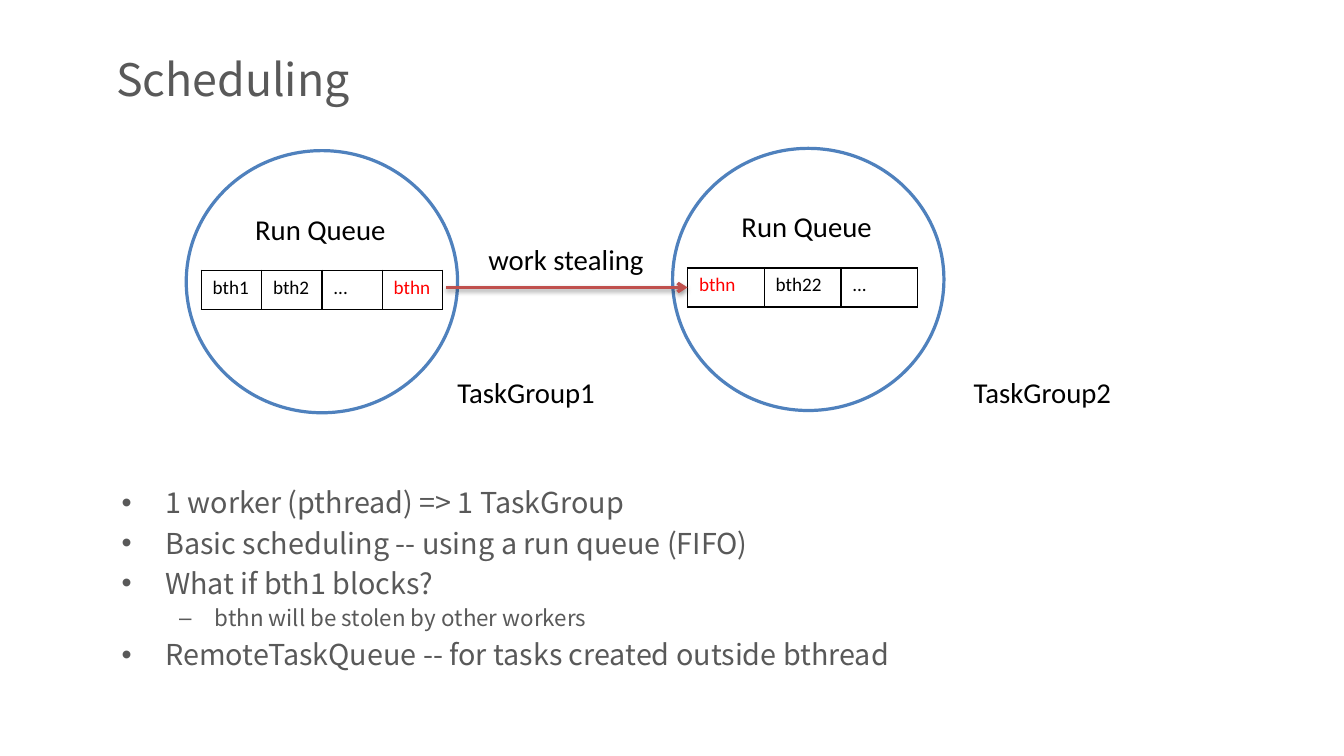
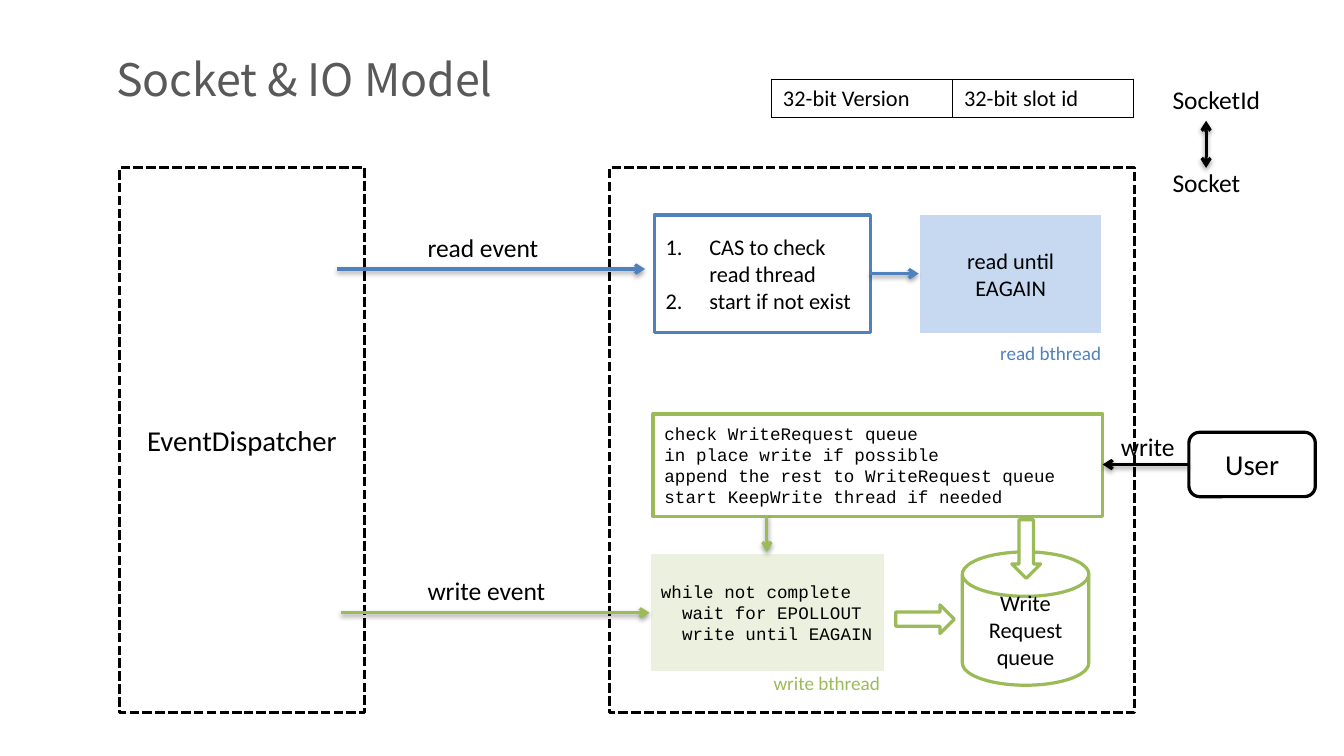
"""Build two slides on task scheduling and the socket IO model."""
from lxml import etree
from pptx import Presentation
from pptx.dml.color import RGBColor
from pptx.enum.dml import MSO_LINE
from pptx.enum.shapes import MSO_CONNECTOR, MSO_SHAPE
from pptx.enum.text import MSO_ANCHOR, MSO_AUTO_SIZE, PP_ALIGN
from pptx.oxml import parse_xml
from pptx.oxml.ns import qn
from pptx.util import Inches, Mm, Pt

LEFT, MID = PP_ALIGN.LEFT, PP_ALIGN.CENTER
TOP, CORE = MSO_ANCHOR.TOP, MSO_ANCHOR.MIDDLE
RECT, ROUND, OVAL = MSO_SHAPE.RECTANGLE, MSO_SHAPE.ROUNDED_RECTANGLE, MSO_SHAPE.OVAL
DISK, ARROW = MSO_SHAPE.FLOWCHART_MAGNETIC_DISK, MSO_SHAPE.RIGHT_ARROW
DASH, STRAIGHT = MSO_LINE.SQUARE_DOT, MSO_CONNECTOR.STRAIGHT
FIXED = MSO_AUTO_SIZE.NONE

HUES = {"ink": "000000", "gray": "595959", "white": "FFFFFF", "blue": "4F81BD",
        "pale": "C6D9F1", "green": "9BBB59", "mint": "EBF1DE",
        "brick": "C0504D", "red": "FF0000"}
SANS, CODE, HEAD = "Calibri", "Courier New", "Noto Sans CJK SC"
WIDE, HIGH = Mm(296.9), Mm(167)

POINTS = [
    (0, "1 worker (pthread) => 1 TaskGroup"),
    (0, "Basic scheduling -- using a run queue (FIFO)"),
    (0, "What if bth1 blocks?"),
    (1, "bthn will be stolen by other workers"),
    (0, "RemoteTaskQueue -- for tasks created outside bthread"),
]
LEVELS = [dict(size=18, left=0.38, hang=0.38, mark="•"),
          dict(size=14, left=0.81, hang=0.31, mark="–")]
GROUPS = [
    dict(name="TaskGroup1", at=(1.62, 1.31), tag=3.88, wide=2.1,
         queue=["bth1", "bth2", "...", "bthn"]),
    dict(name="TaskGroup2", at=(5.85, 1.29), tag=8.37, wide=2,
         queue=["bthn", "bth22", "..."]),
]
FIELDS = ["32-bit Version", "32-bit slot id"]
CHECK = ["CAS to check read thread", "start if not exist"]
WRITE = ["check WriteRequest queue", "in place write if possible",
         "append the rest to WriteRequest queue",
         "start KeepWrite thread if needed"]
KEEP = ["while not complete", "  wait for EPOLLOUT", "  write until EAGAIN"]
BOXES = [
    (RECT, (1.04, 1.46, 2.13, 4.74), "white", "ink",
     dict(lines=["EventDispatcher"], size=18, align=MID), dict(dash=DASH)),
    (RECT, (5.3, 1.46, 4.57, 4.74), "white", "ink", None, dict(dash=DASH)),
    (RECT, (7.99, 1.86, 1.6, 1.05), "pale", "white",
     dict(lines=["read until EAGAIN"], size=14, align=MID), {}),
    (RECT, (5.69, 1.87, 1.88, 1.02), "white", "blue",
     dict(lines=CHECK, size=14, count=True), {}),
    (RECT, (5.65, 4.8, 2.05, 1.05), "mint", "white",
     dict(lines=KEEP, size=11, face=CODE), {}),
    (RECT, (5.68, 3.6, 3.91, 0.89), "white", "green",
     dict(lines=WRITE, size=11, face=CODE), {}),
    (DISK, (8.37, 4.8, 1.1, 1.16), "white", "green",
     dict(lines=["Write", "Request queue"], size=14, align=MID), {}),
    (ARROW, (7.79, 5.26, 0.51, 0.25), "white", "green", None, {}),
    (ARROW, (8.67, 4.65, 0.51, 0.25), "white", "green", None, dict(turn=90)),
    (ROUND, (10.34, 3.76, 1.1, 0.56), "white", "ink",
     dict(lines=["User"], size=18, align=MID), {}),
]
LINKS = [
    ((2.93, 2.34), (5.61, 2.34), "blue", ["tailEnd"]),
    ((7.57, 2.38), (7.99, 2.38), "blue", ["tailEnd"]),
    ((2.97, 5.33), (5.65, 5.33), "green", ["tailEnd"]),
    ((6.67, 4.48), (6.67, 4.8), "green", ["tailEnd"]),
    ((10.34, 4.04), (9.59, 4.04), "ink", ["tailEnd"]),
    ((10.49, 1.05), (10.49, 1.46), "ink", ["headEnd", "tailEnd"]),
]
TAGS = [
    ("read event", (3.62, 1.97, 1.26, 0.37), 16, "ink"),
    ("write event", (3.62, 4.95, 1.26, 0.37), 16, "ink"),
    ("write", (9.65, 3.7, 1.26, 0.37), 16, "ink"),
    ("Socket", (10.1, 1.4, 1.26, 0.37), 16, "ink"),
    ("SocketId", (10.1, 0.68, 1.26, 0.37), 16, "ink"),
    ("read bthread", (8.6, 2.92, 1.73, 0.3), 12, "blue"),
    ("write bthread", (6.63, 5.79, 1.73, 0.3), 12, "green"),
]
SHADE = """<a:effectLst xmlns:a="http://schemas.openxmlformats.org/drawingml/2006/main">
<a:outerShdw blurRad="39370" dist="20320" dir="5400000" rotWithShape="0">
<a:srgbClr val="000000"><a:alpha val="38000"/></a:srgbClr>
</a:outerShdw></a:effectLst>"""


def tint(name):
    """Return a named colour."""
    return RGBColor.from_string(HUES[name])


def style(item, form):
    """Set each format value on an object."""
    for key, val in form.items():
        setattr(item, key, val)


def span(at):
    """Turn inches into lengths."""
    return [Inches(val) for val in at]


def node(root, tag, **attrs):
    """Append a drawing element."""
    return etree.SubElement(root, qn("a:" + tag), attrs)


def bullet(para, left, hang, mark=None):
    """Give a paragraph a mark, or a number if there is none."""
    props = para._p.get_or_add_pPr()
    props.set("marL", str(Inches(left)))
    props.set("indent", str(-Inches(hang)))
    if mark:
        node(props, "buFont", typeface="Arial")
        node(props, "buChar", char=mark)
    else:
        node(props, "buAutoNum", type="arabicPeriod")


def write(frame, lines, size, hue="ink", face=SANS, align=LEFT, count=False):
    """Fill a text frame with styled lines."""
    for num, line in enumerate(lines):
        para = frame.add_paragraph() if num else frame.paragraphs[0]
        if count:
            bullet(para, 0.38, 0.38)
        para.alignment = align
        run = para.add_run()
        run.text = line
        style(run.font, dict(size=Pt(size), name=face))
        run.font.color.rgb = tint(hue)


def label(slide, text, at, size, hue="ink", wrap=True):
    """Add a line of free text."""
    frame = slide.shapes.add_textbox(*span(at)).text_frame
    frame.word_wrap = wrap
    write(frame, [text], size, hue)


def box(slide, kind, at, fill, edge, words=None, dash=None, turn=0):
    """Add a filled and outlined shape."""
    shape = slide.shapes.add_shape(kind, *span(at))
    shape.shadow.inherit = False
    shape.rotation = turn
    shape.fill.solid()
    shape.fill.fore_color.rgb = tint(fill)
    shape.line.color.rgb = tint(edge)
    style(shape.line, dict(width=Pt(2), dash_style=dash))
    if words:
        style(shape.text_frame, dict(word_wrap=True, vertical_anchor=CORE))
        write(shape.text_frame, **words)


def link(slide, start, end, hue, tips):
    """Add a shaded arrow."""
    line = slide.shapes.add_connector(STRAIGHT, *span(start + end))
    line.line.color.rgb = tint(hue)
    line.line.width = Pt(2)
    for tip in tips:
        node(line.line._get_or_add_ln(), tip, type="arrow")
    line._element.spPr.append(parse_xml(SHADE))


def grid(slide, cells, at, size):
    """Add a one-row table with thin black borders."""
    table = slide.shapes.add_table(1, len(cells), *span(at)).table
    style(table, dict(first_row=False, horz_banding=False))
    for num, text in enumerate(cells):
        cell = table.cell(0, num)
        write(cell.text_frame, [text], size, "red" if text == "bthn" else "ink")
        props = cell._tc.get_or_add_tcPr()
        for side in ("lnL", "lnR", "lnT", "lnB"):
            edge = node(props, side, w=str(Pt(1)))
            node(node(edge, "solidFill"), "srgbClr", val=HUES["ink"])
        cell.fill.background()


def start(deck, text):
    """Add a slide with its title."""
    slide = deck.slides.add_slide(deck.slide_layouts[5])
    title = slide.shapes.title
    style(title, dict(zip(("left", "top", "width", "height"),
                          span((0.91, 0.4, 10.14, 0.57)))))
    style(title.text_frame, dict(auto_size=FIXED, vertical_anchor=CORE, word_wrap=True))
    write(title.text_frame, [text], 28, "gray", HEAD)
    return slide


def plan(deck):
    """Draw the scheduling slide."""
    slide = start(deck, "Scheduling")
    for group in GROUPS:
        left, top = group["at"]
        box(slide, OVAL, (left, top, 2.36, 2.28), "white", "blue")
        label(slide, "Run Queue", (left + 0.5, top + 0.48, 1.35, 0.4), 18, wrap=False)
        label(slide, group["name"], (group["tag"], 3.21, 1.41, 0.4), 18, wrap=False)
        grid(slide, group["queue"], (left + 0.13, top + 1.04, group["wide"], 0.34), 12)
    link(slide, (3.88, 2.5), (5.98, 2.5), "brick", ["tailEnd"])
    label(slide, "work stealing", (4.15, 2.05, 1.56, 0.4), 18, wrap=False)
    frame = slide.shapes.add_textbox(*span((0.96, 4.17, 10.47, 2.11))).text_frame
    style(frame, dict(word_wrap=True, vertical_anchor=TOP))
    write(frame, [text for level, text in POINTS], 18, "gray", HEAD)
    for num, (para, (level, text)) in enumerate(zip(frame.paragraphs, POINTS)):
        form = LEVELS[level]
        bullet(para, form["left"], form["hang"], form["mark"])
        gap = 0.2 * form["size"] if num else 0
        style(para, dict(level=level, space_before=Pt(gap)))
        para.runs[0].font.size = Pt(form["size"])


def model(deck):
    """Draw the socket slide."""
    slide = start(deck, "Socket & IO Model")
    for kind, at, fill, edge, words, more in BOXES:
        box(slide, kind, at, fill, edge, words, **more)
    for row in LINKS:
        link(slide, *row)
    for row in TAGS:
        label(slide, *row)
    grid(slide, FIELDS, (6.71, 0.69, 3.15, 0.33), 14)


def main():
    """Build and save the deck."""
    deck = Presentation()
    deck.slide_width = WIDE
    deck.slide_height = HIGH
    plan(deck)
    model(deck)
    deck.save("out.pptx")


if __name__ == "__main__":
    main()
